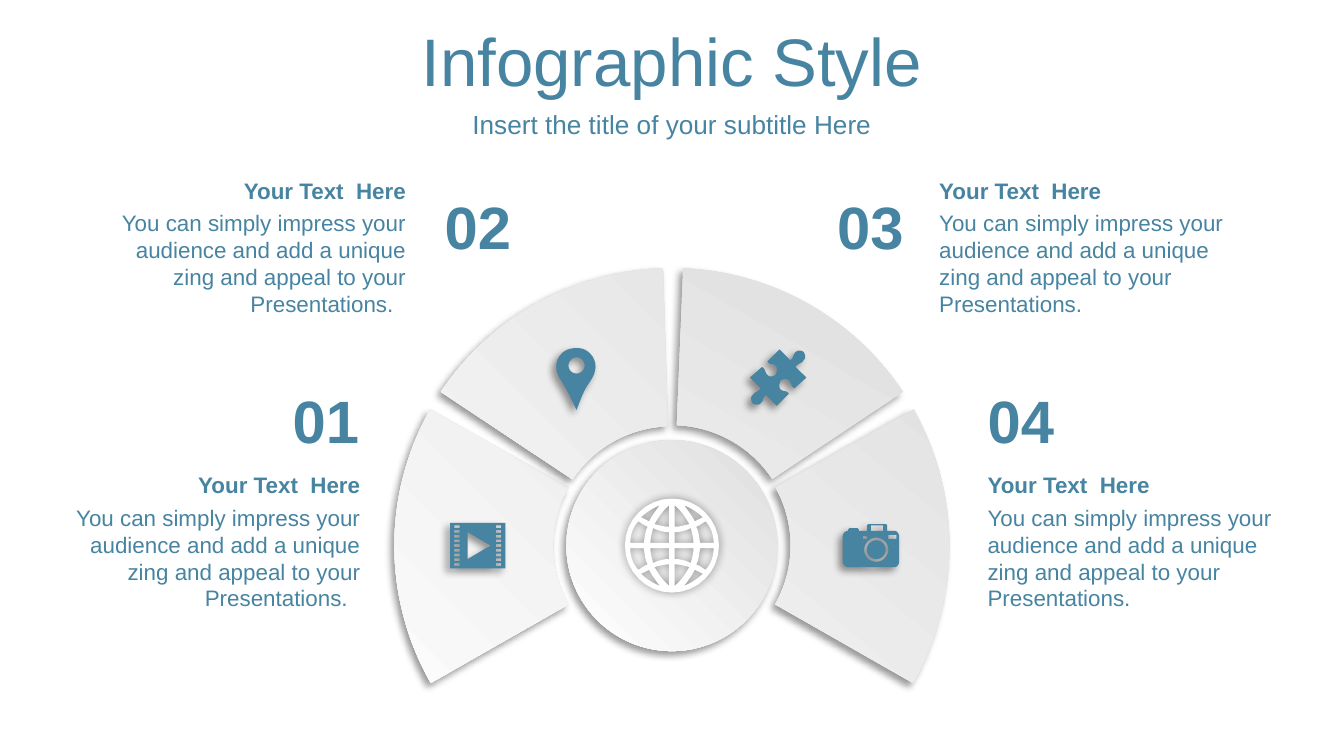
from lxml import etree
from pptx import Presentation
from pptx.dml.color import RGBColor
from pptx.enum.shapes import MSO_SHAPE
from pptx.enum.text import MSO_ANCHOR, PP_ALIGN
from pptx.oxml.ns import qn
from pptx.util import Inches, Pt

LEFT, CENTER, RIGHT = PP_ALIGN.LEFT, PP_ALIGN.CENTER, PP_ALIGN.RIGHT
TOP, MIDDLE = MSO_ANCHOR.TOP, MSO_ANCHOR.MIDDLE
BLOCK_ARC, OVAL = MSO_SHAPE.BLOCK_ARC, MSO_SHAPE.OVAL

SLIDE_WIDTH = 10
SLIDE_HEIGHT = SLIDE_WIDTH * 9 / 16
BLUE, WHITE, GREY, BLACK = "4784A1", "FFFFFF", "DEDEDE", "000000"
FONT = "Arial"
HUB = (5, 4.06)
CURVE_STEPS = 8

# blur, distance (points), direction (degrees)
DROP_SHADOW = (4, 3, 135)
GLOW_SHADOW = (5, 0, 0)

HEADINGS = [
    # text, top, height, size
    ("Infographic Style", 0.13, 0.63, 36),
    ("Insert the title of your subtitle Here", 0.77, 0.31, 14),
]
LABEL = "Your Text  Here"
BODY = ("You can simply impress your audience and add a unique zing "
        "and appeal to your Presentations.")
ITEMS = [
    # number, number left, number top, text left, text top, alignment, body
    ("01", 2.08, 2.81, 0.24, 3.46, RIGHT, BODY + "  "),
    ("02", 3.21, 1.36, 0.58, 1.27, RIGHT, BODY + "  "),
    ("03", 6.13, 1.36, 6.89, 1.27, LEFT, BODY),
    ("04", 7.25, 2.81, 7.25, 3.46, LEFT, BODY),
]
SEGMENTS = [
    # start angle, end angle, ring thickness, gradient angle, mirrored
    (150.32, 209.4, 0.286, 135, False),
    (213.62, 268.14, 0.285, 135, False),
    (150.32, 209.4, 0.286, 50, True),
    (213.62, 267.67, 0.283, 60, True),
]

# Outlines: two numbers are a corner, six are a cubic curve to the last pair.
GLOBE_QUADRANT = [
    [(0.02, 0.02), (0.02, 0.1), (0.06, 0.1, 0.1, 0.11, 0.14, 0.13),
     (0.15, 0.09, 0.16, 0.06, 0.16, 0.02)],
    [(0.21, 0.02), (0.2, 0.07, 0.2, 0.11, 0.18, 0.14),
     (0.21, 0.15, 0.23, 0.17, 0.25, 0.18), (0.29, 0.14, 0.31, 0.08, 0.31, 0.02)],
    [(0.02, 0.14), (0.02, 0.3), (0.07, 0.26, 0.1, 0.21, 0.13, 0.16),
     (0.09, 0.15, 0.06, 0.14, 0.02, 0.14)],
    [(0.17, 0.18), (0.15, 0.22, 0.12, 0.26, 0.09, 0.3),
     (0.14, 0.28, 0.19, 0.25, 0.23, 0.21), (0.21, 0.2, 0.19, 0.19, 0.17, 0.18)],
]
PIN = [(4.29, 2.59), (4.33, 2.59, 4.36, 2.6, 4.39, 2.63),
       (4.45, 2.69, 4.44, 2.77, 4.39, 2.84), (4.34, 2.91, 4.33, 2.95, 4.29, 3.05),
       (4.24, 2.95, 4.23, 2.92, 4.18, 2.84), (4.13, 2.77, 4.12, 2.69, 4.18, 2.63),
       (4.21, 2.6, 4.25, 2.59, 4.29, 2.59)]
PUZZLE_CENTER = (5.79, 2.81)
PUZZLE_HALF = [
    (5.98, 2.62), (5.99, 2.64, 6, 2.66, 5.98, 2.68),
    (5.96, 2.71, 5.94, 2.7, 5.92, 2.73), (6, 2.81), (5.91, 2.89),
    (5.88, 2.87, 5.89, 2.85, 5.87, 2.83), (5.85, 2.81, 5.83, 2.82, 5.81, 2.83),
    (5.8, 2.85, 5.79, 2.88, 5.81, 2.9), (5.84, 2.92, 5.85, 2.9, 5.87, 2.93),
    (5.78, 3.02), (5.7, 2.94), (5.67, 2.96, 5.69, 2.97, 5.66, 3),
    (5.64, 3.02, 5.61, 3.01, 5.6, 3),
]
CAMERA_BODY = [
    (6.46, 3.9), (6.58, 3.9), (6.59, 3.9, 6.6, 3.9, 6.6, 3.91), (6.6, 3.95),
    (6.66, 3.95), (6.67, 3.95, 6.69, 3.97, 6.69, 3.99), (6.69, 4.18),
    (6.69, 4.2, 6.67, 4.22, 6.66, 4.22), (6.31, 4.22),
    (6.29, 4.22, 6.27, 4.2, 6.27, 4.18), (6.27, 3.99),
    (6.27, 3.97, 6.29, 3.95, 6.31, 3.95), (6.31, 3.94), (6.32, 3.93),
    (6.38, 3.93), (6.39, 3.94), (6.39, 3.95), (6.45, 3.95), (6.45, 3.91),
]


def rectangle(left, top, width, height):
    right, bottom = left + width, top + height
    return [(left, top), (right, top), (right, bottom), (left, bottom)]


def mirror(outline, center, x_sign, y_sign):
    """Scale an outline by the signs and move its origin to center."""
    signs = (x_sign, y_sign)
    return [tuple(center[i % 2] + signs[i % 2] * value
                  for i, value in enumerate(step)) for step in outline]


def circle(x, y, radius):
    r, k = radius, radius * 0.55
    outline = [(r, 0), (r, k, k, r, 0, r), (-k, r, -r, k, -r, 0),
               (-r, -k, -k, -r, 0, -r), (k, -r, r, -k, r, 0)]
    return mirror(outline, (x, y), 1, 1)


def flatten(outline):
    """Turn corners and curves into a list of points."""
    points = []
    for step in outline:
        if len(step) == 2:
            points.append(step)
            continue
        controls = [points[-1], step[:2], step[2:4], step[4:]]
        for i in range(1, CURVE_STEPS + 1):
            t = i / CURVE_STEPS
            weights = ((1 - t) ** 3, 3 * t * (1 - t) ** 2, 3 * t * t * (1 - t), t ** 3)
            points.append(tuple(sum(w * c[axis] for w, c in zip(weights, controls))
                                for axis in (0, 1)))
    return points


def color(value):
    return RGBColor.from_string(value)


def finish(shape, shadow):
    """Remove the outline and add an outer shadow."""
    shape.line.fill.background()
    shape.shadow.inherit = False
    blur, distance, direction = shadow
    effects = shape._element.spPr.find(qn("a:effectLst"))
    outer = etree.SubElement(effects, qn("a:outerShdw"), blurRad=str(Pt(blur)),
                             dist=str(Pt(distance)), dir=str(direction * 60000),
                             algn="ctr", rotWithShape="0")
    shade = etree.SubElement(outer, qn("a:srgbClr"), val=BLACK)
    etree.SubElement(shade, qn("a:alpha"), val="40000")


def add_gradient_shape(slide, kind, size, angle):
    """Add a shape of equal sides centred on the hub."""
    left, top = (Inches(middle - size / 2) for middle in HUB)
    shape = slide.shapes.add_shape(kind, left, top, Inches(size), Inches(size))
    shape.fill.gradient()
    shape.fill.gradient_angle = 360 - angle
    for stop, value in zip(shape.fill.gradient_stops, (GREY, WHITE)):
        stop.color.rgb = color(value)
    finish(shape, DROP_SHADOW)
    return shape


def add_icon(slide, outlines, fill=BLUE, shadow=DROP_SHADOW):
    builder = None
    for outline in outlines:
        first, *rest = [(Inches(x), Inches(y)) for x, y in flatten(outline)]
        if builder is None:
            builder = slide.shapes.build_freeform(*first)
        else:
            builder.move_to(*first)
        builder.add_line_segments(rest, close=True)
    shape = builder.convert_to_shape()
    shape.fill.solid()
    shape.fill.fore_color.rgb = color(fill)
    finish(shape, shadow)


def add_text(slide, text, box, size, align=LEFT, bold=False, wrap=True, anchor=TOP):
    frame = slide.shapes.add_textbox(*map(Inches, box)).text_frame
    frame.word_wrap, frame.vertical_anchor = wrap, anchor
    paragraph = frame.paragraphs[0]
    paragraph.text, paragraph.alignment = text, align
    font = paragraph.runs[0].font
    for name, value in {"name": FONT, "size": Pt(size), "bold": bold}.items():
        setattr(font, name, value)
    font.color.rgb = color(BLUE)


presentation = Presentation()
presentation.slide_width = Inches(SLIDE_WIDTH)
presentation.slide_height = Inches(SLIDE_HEIGHT)
slide = presentation.slides.add_slide(presentation.slide_layouts[6])

for start, end, thickness, angle, mirrored in SEGMENTS:
    segment = add_gradient_shape(slide, BLOCK_ARC, 4.13, angle)
    for i, value in enumerate((start * 0.6, end * 0.6, thickness)):
        segment.adjustments[i] = value
    if mirrored:
        segment._element.spPr.xfrm.set("flipH", "1")
for text, top, height, size in HEADINGS:
    add_text(slide, text, (0, top, SLIDE_WIDTH, height), size, CENTER, anchor=MIDDLE)
add_gradient_shape(slide, OVAL, 1.57, 135)

globe_holes = [mirror(cell, HUB, x_sign, y_sign) for cell in GLOBE_QUADRANT
               for x_sign in (1, -1) for y_sign in (1, -1)]
add_icon(slide, [circle(*HUB, 0.35)] + globe_holes, WHITE, GLOW_SHADOW)

film_holes = [rectangle(left, 3.91 + 0.035 * row, 0.04, 0.02)
              for left in (3.38, 3.69) for row in range(9)]
play = [(3.48, 3.96), (3.48, 4.16), (3.65, 4.06)]
add_icon(slide, [rectangle(3.35, 3.89, 0.41, 0.34), play] + film_holes)

add_icon(slide, [PIN, circle(4.29, 2.72, 0.06)])

doubled_center = [2 * value for value in PUZZLE_CENTER]
add_icon(slide, [PUZZLE_HALF + mirror(PUZZLE_HALF, doubled_center, -1, -1)])

add_icon(slide, [CAMERA_BODY, circle(6.52, 4.09, 0.09), circle(6.52, 4.09, 0.07),
                 rectangle(6.42, 3.99, 0.03, 0.02), rectangle(6.61, 3.98, 0.06, 0.03),
                 rectangle(6.48, 3.91, 0.09, 0.04)])

for number, number_left, number_top, left, top, align, body in ITEMS:
    add_text(slide, body, (left, top + 0.24, 2.54, 0.91), 12, align)
    add_text(slide, LABEL, (left, top, 2.54, 0.3), 12, align, bold=True)
    add_text(slide, number, (number_left, number_top, 0.7, 0.64), 32, bold=True, wrap=False)

presentation.save("out.pptx")
